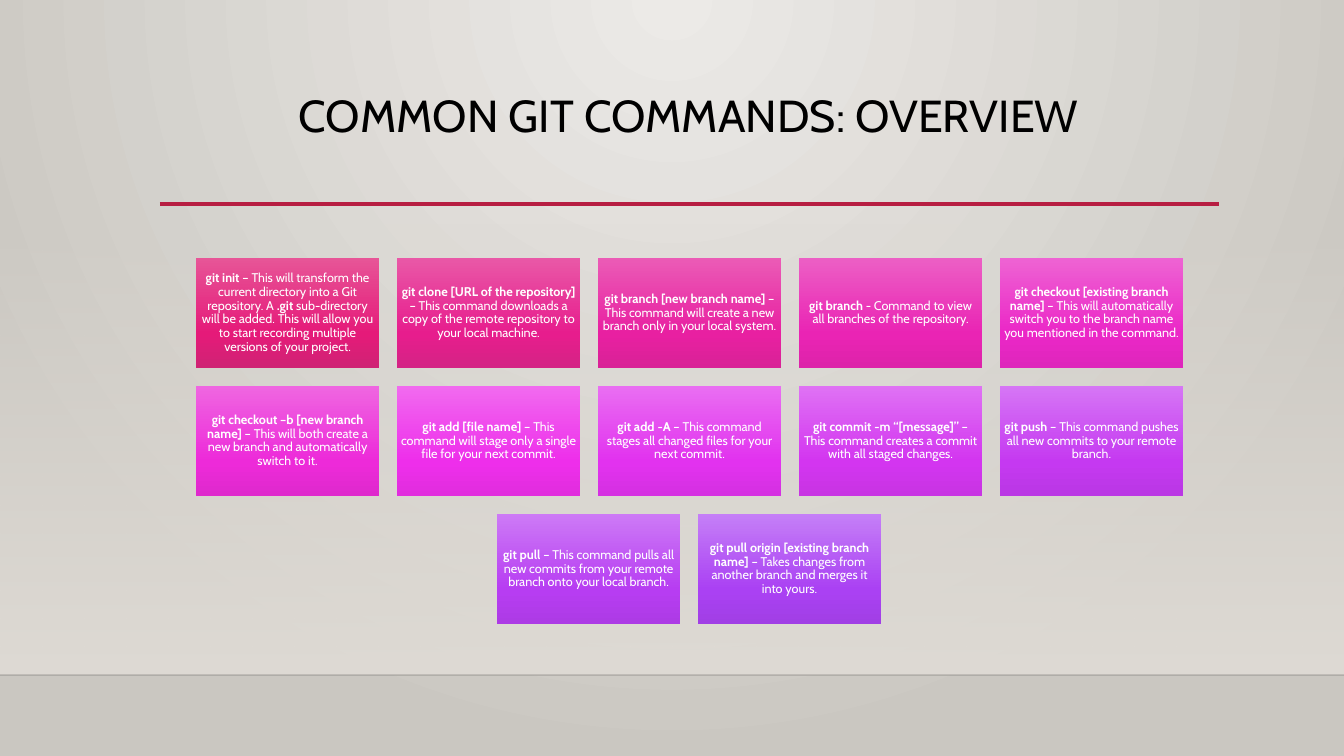
"""Build the slide that gives an overview of common git commands."""
from dataclasses import dataclass

from lxml.etree import SubElement
from pptx import Presentation
from pptx.dml.color import RGBColor
from pptx.enum.shapes import MSO_CONNECTOR as Connector, MSO_SHAPE as Shape
from pptx.enum.text import MSO_ANCHOR as Anchor, MSO_AUTO_SIZE as AutoSize, PP_ALIGN as Align
from pptx.oxml import parse_xml
from pptx.oxml.ns import nsdecls, qn
from pptx.util import Emu, Pt

WIDTH, HEIGHT = 1344, 756
EMU_PER_PX = 12192000 / WIDTH


@dataclass(frozen=True)
class Theme:
    """Colours, font and type sizes of the slide."""
    font: str = "Cabin"
    title_size: int = 32
    command_size: int = 9
    line_spacing: float = 0.9
    title_color: str = "000000"
    command_color: str = "FFFFFF"
    rule_color: str = "B71E42"
    floor_color: str = "000001"
    wall: tuple = ((0, "ECEAE7", 100), (100, "CAC7C1", 100))
    haze: tuple = ((0, "DFDBD5", 0), (100, "DFDBD5", 100))
    tile_positions: tuple = (0, 69, 100)


COMMANDS = [
    (("git init", " – This will transform the current directory into a Git repository. A ", ".git",
      " sub-directory will be added. This will allow you to start recording multiple "
      "versions of your project."), "E75597 E51A79 CF2374"),
    (("git clone [URL of the repository] ",
      "– This command downloads a copy of the remote repository to your local machine."),
     "E958A7 E71D8D D42385"),
    (("git branch [new branch name] ",
      "– This command will create a new branch only in your local system."),
     "EB5BB6 E820A1 D92297"),
    (("git branch ", "- Command to view all branches of the repository."),
     "EC5FC5 EA24B4 DD23AA"),
    (("git checkout [existing branch name]",
      " – This will automatically switch you to the branch name you mentioned in the command."),
     "EE63D3 EB27C7 DE26BC"),
    (("git checkout –b [new branch name] ",
      "– This will both create a new branch and automatically switch to it."),
     "EF66E1 ED2AD9 DF29CD"),
    (("git add [file name] ",
      "– This command will stage only a single file for your next commit."),
     "F16AEF EE2EEB E12DDE"),
    (("git add -A ", "– This command stages all changed files for your next commit."),
     "E96EF2 E232EF D530E2"),
    (("git commit -m “[message]” ", "– This command creates a commit with all staged changes."),
     "DF72F4 D335F0 C834E3"),
    (("git push", " – This command pushes all new commits to your remote branch."),
     "D676F5 C539F1 BA37E4"),
    (("git pull",
      " – This command pulls all new commits from your remote branch onto your local branch."),
     "CD7AF6 B73DF2 AD3BE5"),
    (("git pull origin [existing branch name]",
      " – Takes changes from another branch and merges it into yours."),
     "C57FF7 AA41F3 A13FE5"),
]


def px(length):
    """Turn a length in px into EMU."""
    return Emu(round(length * EMU_PER_PX))


class SlideBuilder:
    """Draws themed elements on one slide."""

    def __init__(self, slide, theme):
        """Keep the slide and its theme."""
        self.slide = slide
        self.theme = theme

    def gradient(self, holder, stops, direction='<a:lin ang="5400000" scaled="0"/>'):
        """Replace the solid fill of an element by a gradient."""
        marks = "".join(
            f'<a:gs pos="{position * 1000}"><a:srgbClr val="{color}">'
            f'<a:alpha val="{opacity * 1000}"/></a:srgbClr></a:gs>'
            for position, color, opacity in stops)
        fill = parse_xml(f'<a:gradFill {nsdecls("a")} rotWithShape="1">'
                         f'<a:gsLst>{marks}</a:gsLst>{direction}</a:gradFill>')
        holder.replace(holder.find(qn("a:solidFill")), fill)

    def background(self):
        """Fill the slide with a glow from the top centre."""
        self.slide.background.fill.solid()
        glow = ('<a:path path="circle"><a:fillToRect l="43000" t="0" r="43000" b="100000"/>'
                '</a:path>')
        self.gradient(self.slide.element.find(f'.//{qn("p:bgPr")}'), self.theme.wall, glow)

    def panel(self, left, top, width, height, stops):
        """Add a rectangle with a vertical gradient and no outline."""
        panel = self.slide.shapes.add_shape(
            Shape.RECTANGLE, px(left), px(top), px(width), px(height))
        panel.shadow.inherit = False
        panel.line.fill.background()
        panel.fill.solid()
        self.gradient(panel.element.spPr, stops)
        return panel

    def rule(self, left, right, y, color, weight, opacity=100):
        """Add a horizontal line."""
        rule = self.slide.shapes.add_connector(
            Connector.STRAIGHT, px(left), px(y), px(right), px(y))
        rule.line.color.rgb = RGBColor.from_string(color)
        rule.line.width = Pt(weight)
        properties = rule.element.spPr
        tint = properties.find(f'.//{qn("a:srgbClr")}')
        SubElement(tint, qn("a:alpha")).set("val", str(opacity * 1000))
        SubElement(properties, qn("a:effectLst"))

    def style(self, paragraph, size, color):
        """Centre a paragraph and format its runs."""
        paragraph.alignment = Align.CENTER
        paragraph.line_spacing = self.theme.line_spacing
        for run in paragraph.runs:
            run.font.name = self.theme.font
            run.font.size = Pt(size)
            run.font.color.rgb = RGBColor.from_string(color)

    def title(self, wording, left, top, width, height):
        """Place and format the title placeholder."""
        title = self.slide.shapes.title
        title.left, title.top, title.width, title.height = map(px, (left, top, width, height))
        frame = title.text_frame
        frame.text = wording
        frame.word_wrap = True
        frame.auto_size = AutoSize.NONE
        frame.vertical_anchor = Anchor.TOP
        self.style(frame.paragraphs[0], self.theme.title_size, self.theme.title_color)

    def command(self, left, top, width, height, parts, colors):
        """Add a command tile whose parts alternate between bold and regular."""
        stops = [(position, color, 100)
                 for position, color in zip(self.theme.tile_positions, colors.split())]
        frame = self.panel(left, top, width, height, stops).text_frame
        frame.word_wrap = True
        frame.vertical_anchor = Anchor.MIDDLE
        frame.margin_left = frame.margin_right = px(3)
        frame.margin_top = frame.margin_bottom = px(4)
        paragraph = frame.paragraphs[0]
        for index, part in enumerate(parts):
            run = paragraph.add_run()
            run.text = part
            run.font.bold = index % 2 == 0
        self.style(paragraph, self.theme.command_size, self.theme.command_color)

    def command_grid(self, commands, center, top, columns, width, height, gap):
        """Lay out command tiles in rows that are centred on one axis."""
        for start in range(0, len(commands), columns):
            row = commands[start:start + columns]
            row_left = center - (len(row) * (width + gap) - gap) // 2
            row_top = top + start // columns * (height + gap)
            for column, (parts, colors) in enumerate(row):
                self.command(row_left + column * (width + gap), row_top,
                             width, height, parts, colors)


def main():
    """Build and save the presentation."""
    deck = Presentation()
    deck.slide_width, deck.slide_height = px(WIDTH), px(HEIGHT)
    theme = Theme()
    overview = SlideBuilder(deck.slides.add_slide(deck.slide_layouts[5]), theme)
    overview.background()
    overview.panel(0, 223, WIDTH, 452, theme.haze)
    overview.rule(0, WIDTH, 675, theme.floor_color, 1, opacity=20)
    overview.rule(160, 1219, 204, theme.rule_color, 2.5)
    overview.title("COMMON GIT COMMANDS: OVERVIEW", 160, 89, 1058, 115)
    overview.command_grid(COMMANDS, center=689, top=258, columns=5,
                          width=183, height=110, gap=18)
    deck.save("out.pptx")


if __name__ == "__main__":
    main()
